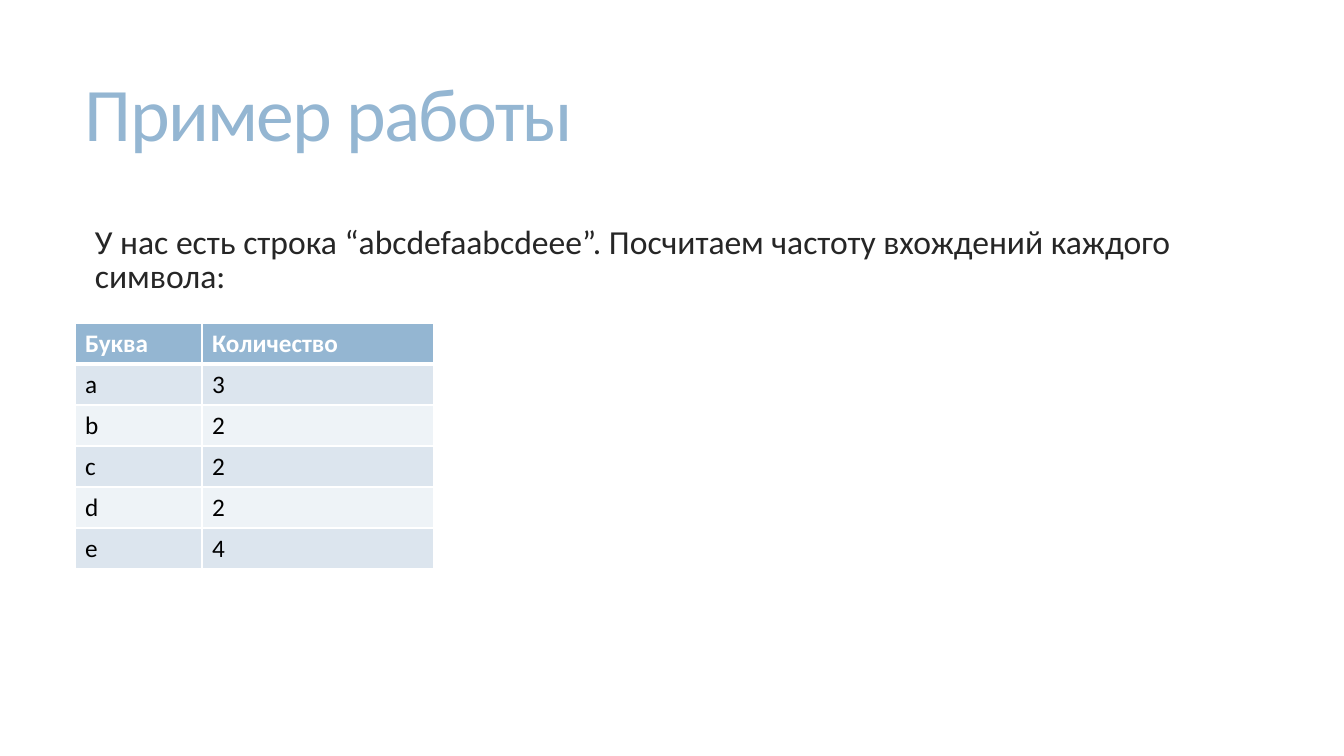
from pptx import Presentation
from pptx import util as u
from pptx.dml import color
from pptx.enum import text
from pptx.oxml import ns
from lxml import etree

EMU_PER_PX = 914400 / 100.8


def px(n):
    """Turn whole pixels into EMU."""
    return u.Emu(round(n * EMU_PER_PX))


def rgb(value):
    """Turn a hex string into a colour."""
    return color.RGBColor.from_string(value)


class Deck:
    """Hold the style and the current slide."""

    FONT = "Calibri"
    ACCENT, INK, WHITE, BLACK = "94B6D2", "262626", "FFFFFF", "000000"
    BANDS = "DCE5EE", "EEF3F7"

    def __init__(self, width, height):
        """Start a presentation with one blank slide."""
        self.prs = Presentation()
        self.prs.slide_width, self.prs.slide_height = px(width), px(height)
        self.s = self.prs.slides.add_slide(self.prs.slide_layouts[6])

    def run(self, p, words, size, ink, bold=False):
        """Add one styled run to a paragraph."""
        r = p.add_run()
        r.text = words
        r.font.name, r.font.size, r.font.bold = self.FONT, u.Pt(size), bold
        r.font.color.rgb = rgb(ink)
        return r

    def text(self, box, words, size, ink, anchor, before=0, indent=0, spacing=0):
        """Add a wrapped text box with one paragraph."""
        tf = self.s.shapes.add_textbox(*map(px, box)).text_frame
        tf.word_wrap, tf.vertical_anchor = True, anchor
        p = tf.paragraphs[0]
        p.line_spacing, p.space_before = 0.85, u.Pt(before)
        if indent:
            p._p.get_or_add_pPr().set("marL", str(px(indent)))
        r = self.run(p, words, size, ink)
        if spacing:
            r.font._element.set("spc", str(round(spacing * 100)))

    def border(self, cell, side, width):
        """Draw one white cell border."""
        ln = etree.SubElement(cell._tc.get_or_add_tcPr(), ns.qn(f"a:ln{side}"), w=str(u.Pt(width)))
        fill = etree.SubElement(ln, ns.qn("a:solidFill"))
        etree.SubElement(fill, ns.qn("a:srgbClr"), val=self.WHITE)

    def table(self, left, top, widths, row_height, rows):
        """Add a banded table with a bold header row."""
        box = left, top, sum(widths), row_height * len(rows)
        table = self.s.shapes.add_table(len(rows), len(widths), *map(px, box)).table
        for column, width in zip(table.columns, widths):
            column.width = px(width)
        for i, values in enumerate(rows):
            table.rows[i].height = px(row_height)
            header = i == 0
            thick = {0: "B", 1: "T"}.get(i)
            for j, value in enumerate(values):
                cell = table.cell(i, j)
                for side in "LRTB":
                    self.border(cell, side, 3 if side == thick else 1)
                cell.fill.solid()
                cell.fill.fore_color.rgb = rgb(self.ACCENT if header else self.BANDS[(i - 1) % 2])
                ink = self.WHITE if header else self.BLACK
                self.run(cell.text_frame.paragraphs[0], value, 18, ink, header)


def main():
    """Build the slide and save it."""
    deck = Deck(1344, 756)
    deck.text((75, 27, 1187, 182), "Пример работы", 54, deck.ACCENT,
              text.MSO_ANCHOR.MIDDLE, spacing=-1.2)
    deck.text((75, 222, 1185, 415),
              "У нас есть строка “abcdefaabcdeee”. Посчитаем частоту вхождений каждого символа:",
              24, deck.INK, text.MSO_ANCHOR.TOP, before=13, indent=10)
    deck.table(75, 323, (127, 232), 41, [
        ("Буква", "Количество"),
        ("a", "3"),
        ("b", "2"),
        ("c", "2"),
        ("d", "2"),
        ("e", "4"),
    ])
    deck.prs.save("out.pptx")


if __name__ == "__main__":
    main()
